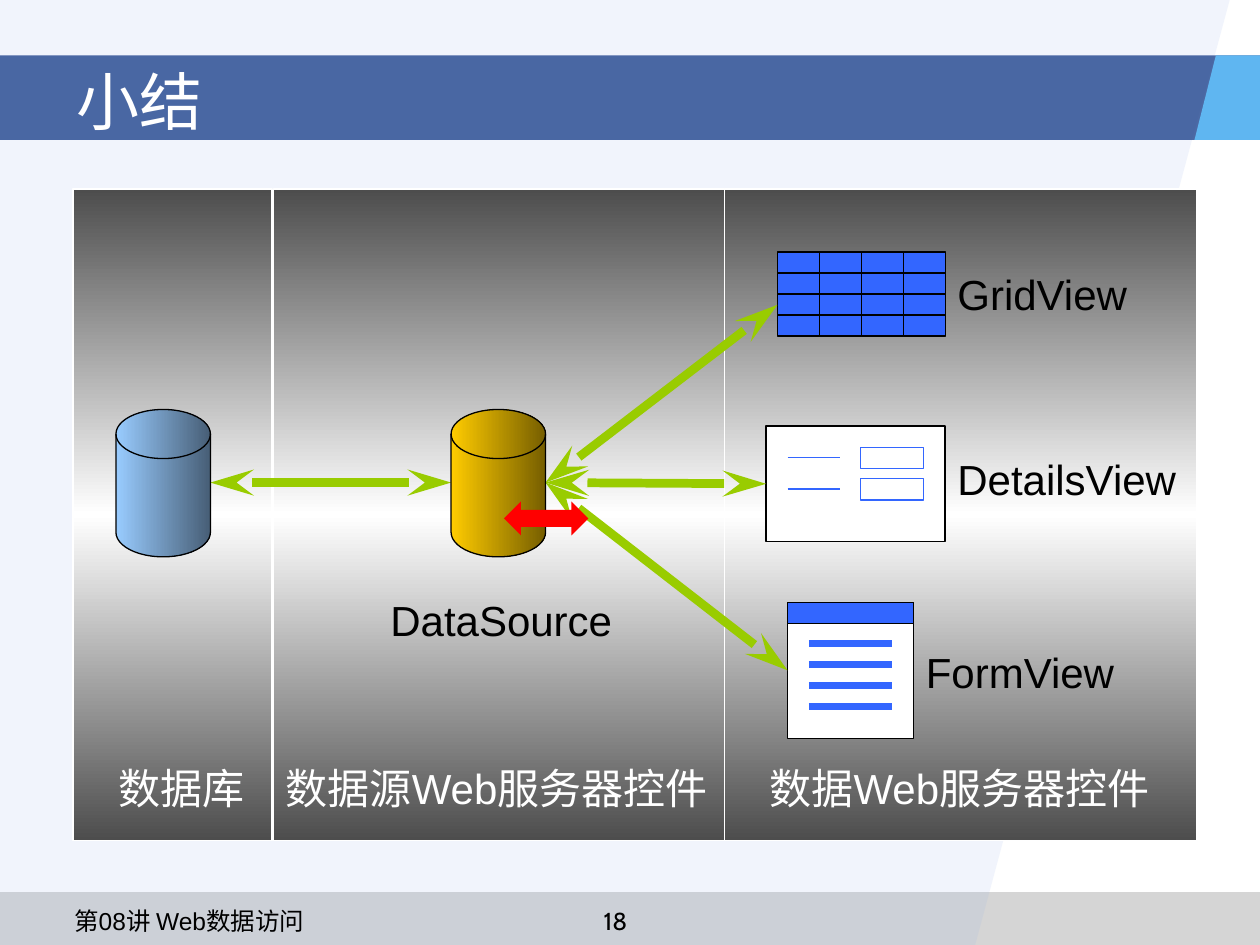
"""Build the summary slide linking a database, a data source and data controls."""
from dataclasses import dataclass

from lxml import etree
from pptx import Presentation
from pptx.dml.color import RGBColor
from pptx.enum.shapes import MSO_CONNECTOR, MSO_SHAPE
from pptx.enum.text import MSO_ANCHOR, MSO_AUTO_SIZE, PP_ALIGN
from pptx.oxml.ns import qn
from pptx.util import Inches, Pt

RECT = MSO_SHAPE.RECTANGLE
DISK = MSO_SHAPE.FLOWCHART_MAGNETIC_DISK
ARROW = MSO_SHAPE.LEFT_RIGHT_ARROW
STRAIGHT = MSO_CONNECTOR.STRAIGHT
MIDDLE = MSO_ANCHOR.MIDDLE
LEFT, CENTER = PP_ALIGN.LEFT, PP_ALIGN.CENTER
NO_FIT = MSO_AUTO_SIZE.NONE
TITLE_ONLY = 5


@dataclass(frozen=True)
class Theme:
    """Colours, fonts and sizes of the slide."""
    white: str = "FFFFFF"
    black: str = "000000"
    band: str = "173D89"
    sky: str = "5FB6F1"
    tint: str = "94B1EC"
    foot: str = "969696"
    blue: str = "3366FF"
    green: str = "99CC00"
    red: str = "FF0000"
    steel: tuple = ("4D4D4D", "FFFFFF", "4D4D4D")
    ice: tuple = ("99CCFF", "475E76")
    gold: tuple = ("FFCC00", "765E00")
    sans: str = "Arial"
    head: str = "Cabin"
    big: int = 36
    mid: int = 24
    small: int = 14
    thin: float = 0.75
    bar: float = 4
    flow: float = 5


THEME = Theme()


def apply(target, values):
    """Set each named value on the target."""
    for name, value in values.items():
        setattr(target, name, value)


def blend(fill, stops, angle):
    """Fill with evenly spaced gradient stops."""
    fill.gradient()
    fill.gradient_angle = angle
    items = fill._fill._gradFill.find(qn("a:gsLst"))
    for old in list(items):
        items.remove(old)
    for rank, tone in enumerate(stops):
        spot = round(100000 * rank / (len(stops) - 1))
        stop = etree.SubElement(items, qn("a:gs"), pos=str(spot))
        etree.SubElement(stop, qn("a:srgbClr"), val=tone)


def paint(shape, fill=None, line=None, alpha=None, angle=0):
    """Give a shape its fill and outline without a shadow."""
    shape.shadow.inherit = False
    if fill is None:
        shape.fill.background()
    elif isinstance(fill, tuple):
        blend(shape.fill, fill, angle)
    else:
        shape.fill.solid()
        shape.fill.fore_color.rgb = RGBColor.from_string(fill)
    if alpha:
        tone = shape._element.spPr.find(".//" + qn("a:srgbClr"))
        etree.SubElement(tone, qn("a:alpha"), val=str(alpha * 1000))
    if line:
        shape.line.color.rgb = RGBColor.from_string(line)
        shape.line.width = Pt(THEME.thin)
    else:
        shape.line.fill.background()


def block(shapes, kind, box, **look):
    """Add a preset shape in the given box."""
    paint(shapes.add_shape(kind, *map(Inches, box)), **look)


def outline(shapes, points, **look):
    """Add a closed polygon through the points."""
    spots = [(Inches(x), Inches(y)) for x, y in points]
    pen = shapes.build_freeform(*spots[0])
    pen.add_line_segments(spots[1:], close=True)
    paint(pen.convert_to_shape(), **look)


def stroke(shapes, start, end, tone, width, ends=False):
    """Add a straight line, with arrowheads at both ends if asked."""
    link = shapes.add_connector(STRAIGHT, *map(Inches, start + end))
    link.line.color.rgb = RGBColor.from_string(tone)
    link.line.width = Pt(width)
    if ends:
        rule = link.line._get_or_add_ln()
        for tag in ("a:headEnd", "a:tailEnd"):
            etree.SubElement(rule, qn(tag), type="stealth", w="med", len="lg")
    etree.SubElement(link._element.spPr, qn("a:effectLst"))


def write(shape, text, size, face, tone, align=LEFT, **frame):
    """Put one formatted line of text in a shape."""
    apply(shape.text_frame, frame)
    para = shape.text_frame.paragraphs[0]
    para.text = text
    para.alignment = align
    font = para.runs[0].font
    apply(font, {"size": Pt(size), "name": face})
    font.color.rgb = RGBColor.from_string(tone)


def label(shapes, box, text, tone=THEME.black, size=THEME.mid,
          face=THEME.sans, align=LEFT, wrap=False):
    """Add a text box."""
    note = shapes.add_textbox(*map(Inches, box))
    write(note, text, size, face, tone, align, word_wrap=wrap)


def frame(shapes):
    """Draw the bands behind the slide."""
    block(shapes, RECT, (0, 7.08, 10, 0.42), fill=THEME.foot, alpha=40)
    outline(shapes, [(0, 0), (9.76, 0), (7.74, 7.5), (0, 7.5)],
            fill=THEME.tint, alpha=13)
    block(shapes, RECT, (0, 0.44, 10, 0.67), fill=THEME.band, alpha=77)
    outline(shapes, [(9.65, 0.44), (9.48, 1.11), (10, 1.11), (10, 0.44)],
            fill=THEME.sky)
    label(shapes, (4.22, 7.14, 1.33, 0.25), "18", size=THEME.small,
          face=THEME.head, align=CENTER, wrap=True)
    label(shapes, (0.49, 7.14, 3.56, 0.24), "第08讲 Web数据访问",
          size=THEME.small, wrap=True)


def heading(shapes, text):
    """Place the title above the bands."""
    title = shapes.title
    apply(title, dict(zip(("left", "top", "width", "height"),
                          map(Inches, (0.51, 0.36, 9, 0.87)))))
    write(title, text, THEME.big, THEME.head, THEME.white,
          vertical_anchor=MIDDLE, auto_size=NO_FIT)
    shapes._spTree.append(title._element)


def panels(shapes):
    """Draw the three shaded columns."""
    for left, width in ((0.58, 1.58), (2.17, 3.58), (5.75, 3.75)):
        block(shapes, RECT, (left, 1.5, width, 5.17), fill=THEME.steel,
              line=THEME.white, angle=90)


def grid(shapes):
    """Draw the four by four grid icon."""
    for row in range(4):
        for col in range(4):
            block(shapes, RECT, (6.17 + col / 3, 2 + row / 6, 1 / 3, 1 / 6),
                  fill=THEME.blue, line=THEME.black)


def form(shapes):
    """Draw the form icon with its header and text bars."""
    for high, tone in ((1.08, THEME.white), (0.17, THEME.blue)):
        block(shapes, RECT, (6.25, 4.78, 1, high), fill=tone, line=THEME.black)
    for row in range(4):
        y = 5.11 + row / 6
        stroke(shapes, (6.42, y), (7.08, y), THEME.blue, THEME.bar)


def details(shapes):
    """Draw the details icon with its two fields."""
    block(shapes, RECT, (6.08, 3.38, 1.42, 0.92), fill=THEME.white,
          line=THEME.black)
    for y in (3.55, 3.8):
        block(shapes, RECT, (6.83, y, 0.5, 0.17), line=THEME.blue)
        stroke(shapes, (6.25, y + 0.08), (6.67, y + 0.08), THEME.blue,
               THEME.thin)


def source(shapes):
    """Draw the data source disk and its red arrow."""
    block(shapes, DISK, (3.58, 3.25, 0.75, 1.17), fill=THEME.gold,
          line=THEME.black)
    block(shapes, ARROW, (4, 3.98, 0.67, 0.27), fill=THEME.red)


def main():
    """Build and save the slide."""
    deck = Presentation()
    apply(deck, {"slide_width": Inches(10), "slide_height": Inches(7.5)})
    shapes = deck.slides.add_slide(deck.slide_layouts[TITLE_ONLY]).shapes
    frame(shapes)
    panels(shapes)
    heading(shapes, "小结")
    for icon in (grid, form, details):
        icon(shapes.add_group_shape().shapes)
    hub = (4.33, 3.83)
    for start, end in ((hub, (6.17, 2.42)), (hub, (6.25, 5.32)),
                       (hub, (6.08, 3.84)), ((1.67, 3.83), (3.58, 3.83))):
        stroke(shapes, start, end, THEME.green, THEME.flow, ends=True)
    block(shapes, DISK, (0.92, 3.25, 0.75, 1.17), fill=THEME.ice,
          line=THEME.black)
    source(shapes.add_group_shape().shapes)
    for x, y, width, text in ((3, 4.67, 1.96, "DataSource"),
                              (7.5, 2.08, 1.55, "GridView"),
                              (7.25, 5.08, 1.7, "FormView"),
                              (7.5, 3.55, 1.94, "DetailsView")):
        label(shapes, (x, y, width, 0.5), text)
    for x, width, text in ((0.84, 1.2, "数据库"),
                           (2.17, 3.71, "数据源Web服务器控件"),
                           (6.01, 3.38, "数据Web服务器控件")):
        label(shapes, (x, 6, width, 0.5), text, THEME.white)
    deck.save("out.pptx")


if __name__ == "__main__":
    main()
